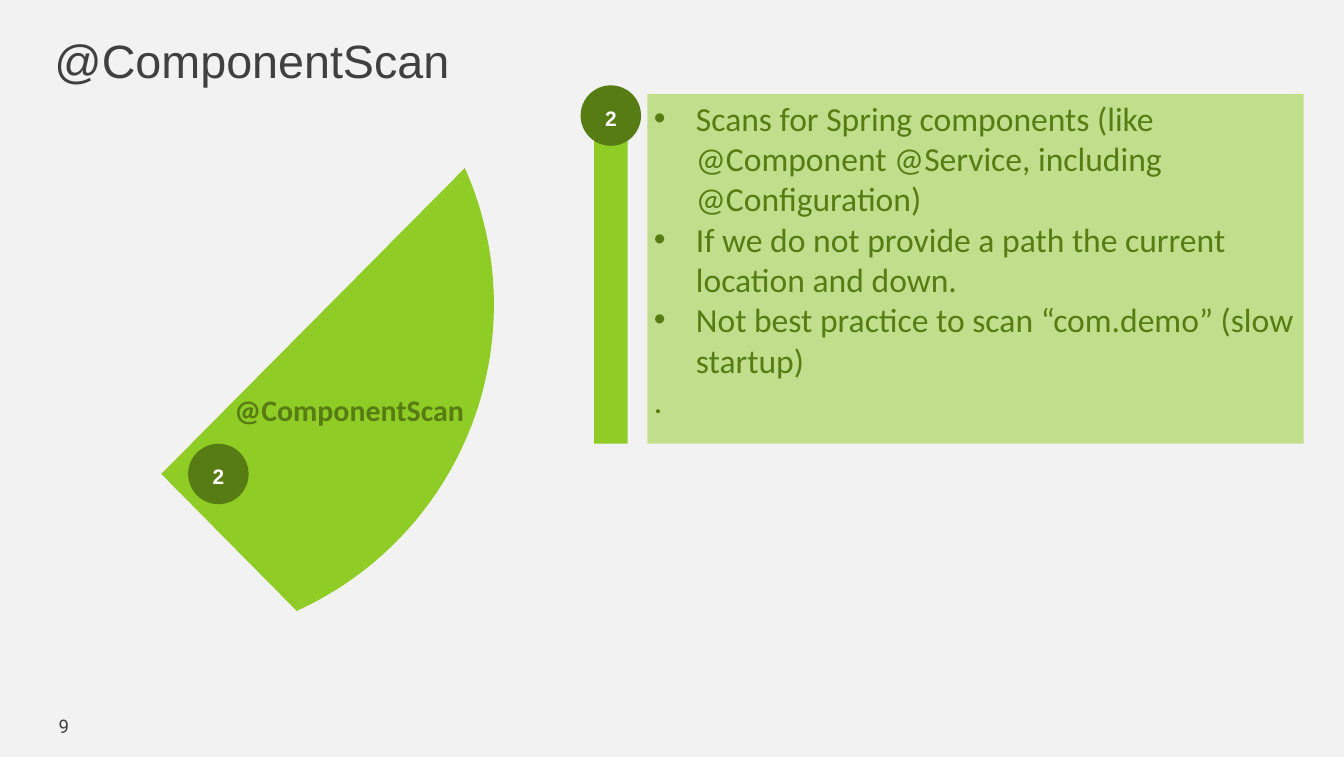
from math import cos, radians, sin

from lxml.etree import SubElement
from pptx import Presentation
from pptx.dml.color import RGBColor
from pptx.enum.shapes import MSO_SHAPE as Shape
from pptx.enum.text import MSO_ANCHOR as Anchor, MSO_AUTO_SIZE as AutoSize, PP_ALIGN as Align
from pptx.oxml.ns import qn
from pptx.util import Pt

LIME, GREEN, GRAY, PALE, WHITE = "90CC26", "577C13", "404041", "F2F2F2", "FFFFFF"
BADGE_SIZE = 64.8
POINTS = [
    "Scans for Spring components (like @Component @Service, including @Configuration)",
    "If we do not provide a path the current location and down.",
    "Not best practice to scan “com.demo” (slow startup)",
    ".",
]


def color(value):
    return RGBColor.from_string(value)


def style(paragraph, size, name, value, bold=False, align=Align.LEFT):
    paragraph.alignment = align
    for run in paragraph.runs:
        run.font.size = Pt(size)
        run.font.name = name
        run.font.bold = bold
        run.font.color.rgb = color(value)


def set_margins(text_frame, horizontal, vertical):
    text_frame.margin_left = text_frame.margin_right = Pt(horizontal)
    text_frame.margin_top = text_frame.margin_bottom = Pt(vertical)


def paint(shape, value):
    shape.shadow.inherit = False
    shape.fill.solid()
    shape.fill.fore_color.rgb = color(value)
    shape.line.fill.background()


def add_block(slide, kind, left, top, width, height, value):
    shape = slide.shapes.add_shape(kind, Pt(left), Pt(top), Pt(width), Pt(height))
    paint(shape, value)
    return shape


def add_label(slide, text, left, top, width, height):
    box = slide.shapes.add_textbox(Pt(left), Pt(top), Pt(width), Pt(height))
    box.text_frame.word_wrap = True
    box.text_frame.text = text
    return box.text_frame


def add_badge(slide, left, top, text):
    badge = add_block(slide, Shape.OVAL, left, top, BADGE_SIZE, BADGE_SIZE, GREEN)
    text_frame = badge.text_frame
    text_frame.vertical_anchor = Anchor.MIDDLE
    text_frame.text = text
    paragraph = text_frame.paragraphs[0]
    style(paragraph, 28, "Arial", WHITE, True, Align.CENTER)
    paragraph.runs[0].font._element.set("cap", "small")


def add_title(slide, left, top, width, height):
    title = slide.shapes.title
    title.left, title.top, title.width, title.height = map(Pt, (left, top, width, height))
    text_frame = title.text_frame
    text_frame.text = "@ComponentScan"
    text_frame.auto_size = AutoSize.NONE
    text_frame.vertical_anchor = Anchor.MIDDLE
    set_margins(text_frame, 0, 0)
    style(text_frame.paragraphs[0], 50, "Arial", GRAY)


def add_page_number(slide, left, top, width, height):
    text_frame = add_label(slide, "9", left, top, width, height)
    text_frame.vertical_anchor = Anchor.MIDDLE
    set_margins(text_frame, 13, 6.5)
    style(text_frame.paragraphs[0], 20, "Roboto", GRAY, align=Align.RIGHT)


def add_wedge(slide, left, top):
    # Slice whose rim is an arc of a circle, with the tip off its centre
    center_x, center_y, radius = left - 3.6, top + 146.4, 360
    start, end, steps = -24, 65.6, 60
    angles = [radians(start + (end - start) * step / steps) for step in range(steps + 1)]
    rim = [(Pt(center_x + radius * cos(angle)), Pt(center_y + radius * sin(angle)))
           for angle in angles]
    builder = slide.shapes.build_freeform(Pt(left), Pt(top + 327.6))
    builder.add_line_segments(rim, close=True)
    paint(builder.convert_to_shape(), LIME)

    # Number and name
    add_badge(slide, left + 28.8, top + 295.2, "2")
    text_frame = add_label(slide, "@ComponentScan", left + 71.3, top + 235.4, 270, 46)
    style(text_frame.paragraphs[0], 32, "Calibri", GREEN, True)


def add_bullet(paragraph):
    properties = paragraph._p.get_or_add_pPr()
    properties.set("marL", str(Pt(45)))
    properties.set("indent", str(-Pt(45)))
    SubElement(properties, qn("a:buFont")).set("typeface", "Arial")
    SubElement(properties, qn("a:buChar")).set("char", "•")


def add_details(slide, left, top, width, height):
    # Side bar and translucent panel
    bar_width, gap = 36, 21
    add_block(slide, Shape.RECTANGLE, left, top, bar_width, height, LIME)
    panel_left = left + bar_width + gap
    panel = add_block(slide, Shape.RECTANGLE, panel_left, top,
                      width - bar_width - gap, height, LIME)
    fill_color = panel._element.spPr.find(qn("a:solidFill"))[0]
    SubElement(fill_color, qn("a:alpha")).set("val", "50000")

    # Bulleted text, closed by a plain line
    text_frame = panel.text_frame
    text_frame.vertical_anchor = Anchor.TOP
    text_frame.text = "\n".join(POINTS)
    for paragraph in text_frame.paragraphs:
        if paragraph.text != ".":
            add_bullet(paragraph)
        paragraph.line_spacing = Pt(43.2)
        style(paragraph, 36, "Calibri", GREEN)

    # Number on top of the bar
    add_badge(slide, left + (bar_width - BADGE_SIZE) / 2, top - 9.4, "2")


def main():
    presentation = Presentation()
    presentation.slide_width, presentation.slide_height = Pt(1440), Pt(810.72)
    slide = presentation.slides.add_slide(presentation.slide_layouts[5])
    slide.background.fill.solid()
    slide.background.fill.fore_color.rgb = color(PALE)

    add_title(slide, 58.3, 29.5, 1333.4, 69.1)
    add_page_number(slide, 30.2, 756, 56.9, 43.2)
    add_wedge(slide, 172.8, 180)
    add_details(slide, 636.5, 100.8, 760.3, 374.4)
    presentation.save("out.pptx")


if __name__ == "__main__":
    main()
